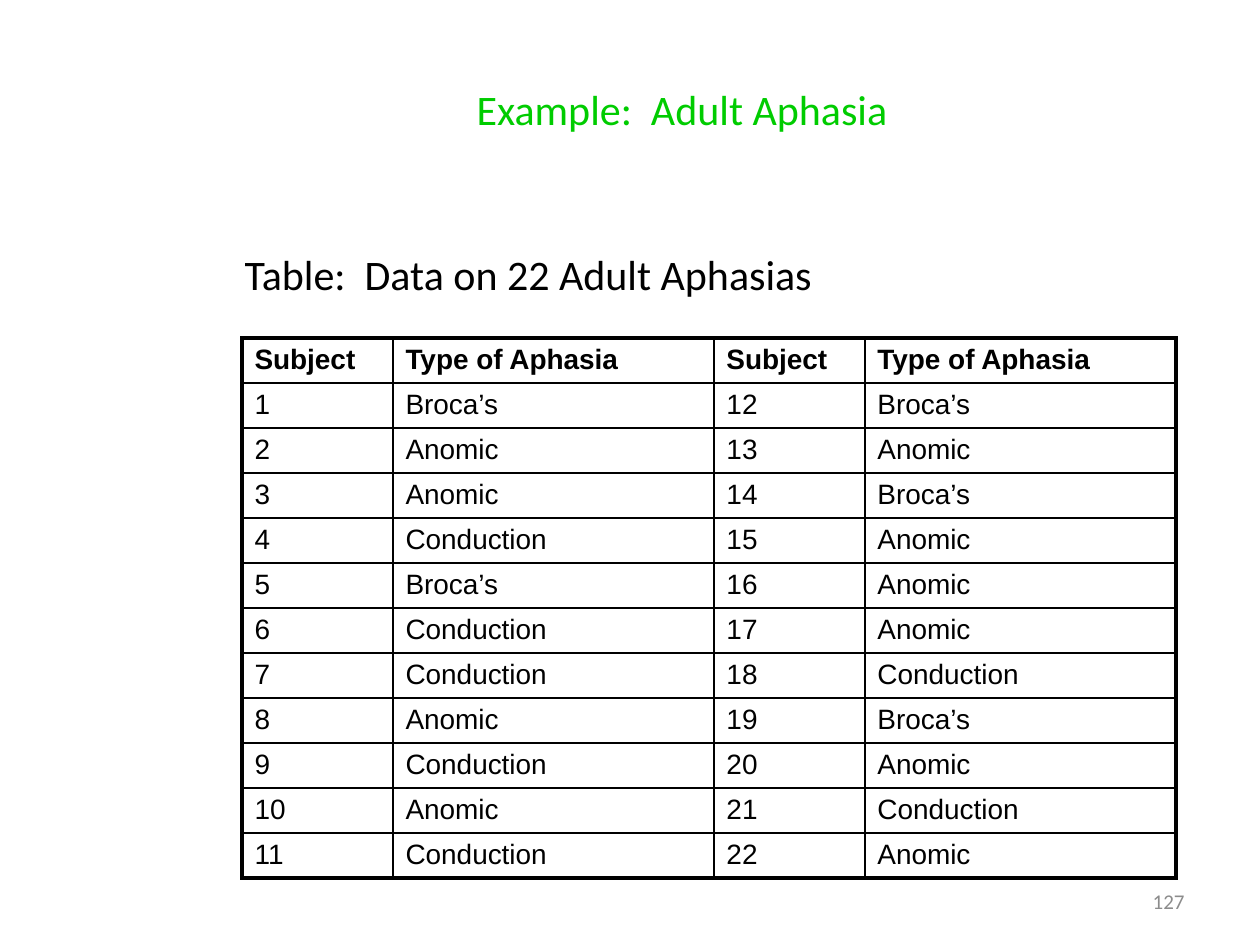
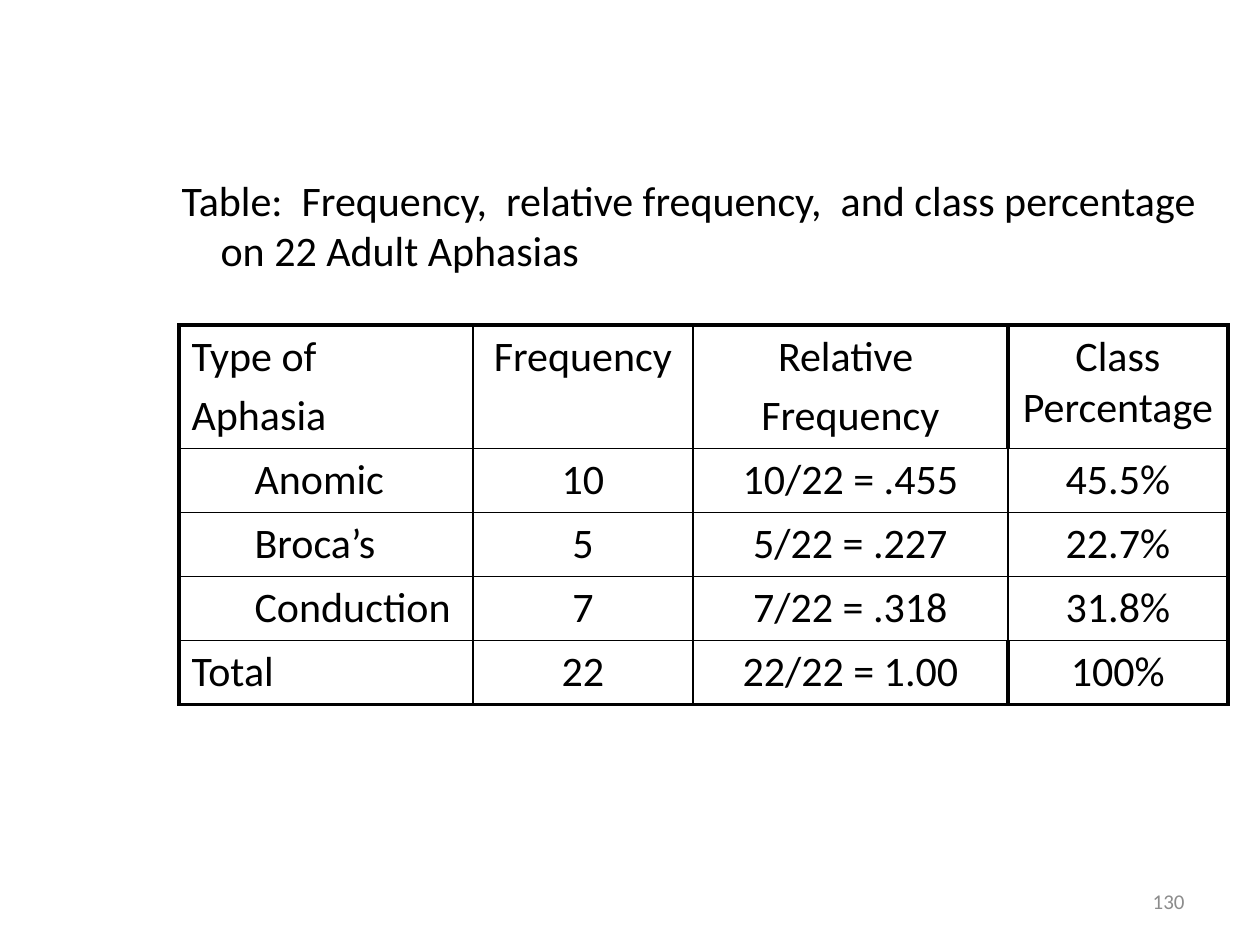
from pptx import Presentation
from pptx.dml.color import RGBColor as Rgb
from pptx.enum.text import MSO_ANCHOR as Anchor, MSO_AUTO_SIZE as Auto, PP_ALIGN as Align
from pptx.util import Pt
from lxml.etree import SubElement as Sub
from pptx.oxml.ns import qn


def px(n):
    return round(n * 914400 / 126)


def write(par, text, look, hue="000000"):
    run = par.add_run()
    run.text = text
    for key, val in look.items():
        setattr(run.font, key, val)
    run.font.color.rgb = Rgb.from_string(hue)


HEAD = {"name": "Calibri", "size": Pt(24)}
DATA = {"name": "Arial", "size": Pt(16)}
FOOT = {"name": "Calibri", "size": Pt(12)}
THICK, THIN = Pt(2.25), Pt(1)

kinds = {"A": "Anomic", "B": "Broca’s", "C": "Conduction"}
types = [kinds[key] for key in "BAACBCCACACBABAAACBACA"]
half = len(types) // 2
cases = [["Subject", "Type of Aphasia"] * 2]
for i in range(half):
    cases.append([str(i + 1), types[i], str(i + half + 1), types[i + half]])

counts = [
    ["Type of\nAphasia", "Frequency", "Relative \nFrequency", "Class Percentage"],
    ["Anomic", "10", "10/22 = .455", "45.5%"],
    ["Broca’s", "5", "5/22 = .227", "22.7%"],
    ["Conduction", "7", "7/22 = .318", "31.8%"],
    ["Total", "22", "22/22 = 1.00", "100%"],
]

pages = [
    {
        "title": "Example:  Adult Aphasia",
        "text": "Table:  Data on 22 Adult Aphasias",
        "box": (221, 242, 892, 84),
        "rows": cases, "at": (242, 338), "look": DATA, "bold": True,
        "wide": [151, 321, 151, 311], "high": [45] * 12,
        "align": [Align.LEFT] * 4, "inset": [], "heavy": [], "page": "127",
    },
    {
        "title": None,
        "text": "Table:  Frequency,  relative frequency,  and class percentage on 22 Adult Aphasias",
        "box": (158, 168, 1061, 84),
        "rows": counts, "at": (179, 325), "look": HEAD, "bold": False,
        "wide": [294, 220, 315, 220], "high": [123] + [64] * 4,
        "align": [Align.LEFT] + [Align.CENTER] * 3, "inset": [1, 2, 3],
        "heavy": [(0, 3), (4, 3)], "page": "130",
    },
]

deck = Presentation()
deck.slide_width, deck.slide_height = px(1260), px(945)

for page in pages:
    slide = deck.slides.add_slide(deck.slide_layouts[1])
    title, body = slide.placeholders
    spots = [(body, page["box"], page["text"], "000000")]
    if page["title"]:
        spots.append((title, (231, 77, 902, 102), page["title"], "00CC00"))
    else:
        title.element.getparent().remove(title.element)

    for shape, box, text, hue in spots:
        shape.left, shape.top, shape.width, shape.height = map(px, box)
        frame = shape.text_frame
        frame.word_wrap = True
        frame.auto_size = Auto.NONE
        frame.vertical_anchor = Anchor.TOP
        par = frame.paragraphs[0]
        par.space_before = Pt(0)
        write(par, text, HEAD, hue)

    props = body.text_frame.paragraphs[0]._p.get_or_add_pPr()
    props.set("marL", str(px(50)))
    props.set("indent", str(px(-39)))
    Sub(props, qn("a:buNone"))

    rows, wide, high = page["rows"], page["wide"], page["high"]
    size = (sum(wide), sum(high))
    grid = slide.shapes.add_table(len(high), len(wide), *map(px, page["at"] + size)).table
    grid.first_row = grid.horz_banding = False
    for col, width in zip(grid.columns, wide):
        col.width = px(width)
    for row, height in zip(grid.rows, high):
        row.height = px(height)

    for r, row in enumerate(rows):
        for c, text in enumerate(row):
            cell = grid.cell(r, c)
            look = page["look"] | {"bold": page["bold"] and r == 0}
            for n, line in enumerate(text.split("\n")):
                frame = cell.text_frame
                par = frame.add_paragraph() if n else frame.paragraphs[0]
                par.alignment = page["align"][c]
                par.space_before = Pt(4.8 if n else 0)
                if c == 0 and r in page["inset"]:
                    par._p.get_or_add_pPr().set("marL", str(px(63)))
                write(par, line, look)

            edges = {
                "L": c == 0 or (r, c) in page["heavy"],
                "R": c == len(wide) - 1 or (r, c + 1) in page["heavy"],
                "T": r == 0,
                "B": r == len(high) - 1,
            }
            props = cell._tc.get_or_add_tcPr()
            for side, thick in edges.items():
                rule = Sub(props, qn("a:ln" + side), w=str(THICK if thick else THIN))
                Sub(Sub(rule, qn("a:solidFill")), qn("a:srgbClr"), val="000000")
            cell.fill.background()

    frame = slide.shapes.add_textbox(*map(px, (903, 876, 294, 50))).text_frame
    frame.word_wrap = True
    frame.vertical_anchor = Anchor.MIDDLE
    frame.paragraphs[0].alignment = Align.RIGHT
    write(frame.paragraphs[0], page["page"], FOOT, "8C8C8C")

deck.save("out.pptx")
